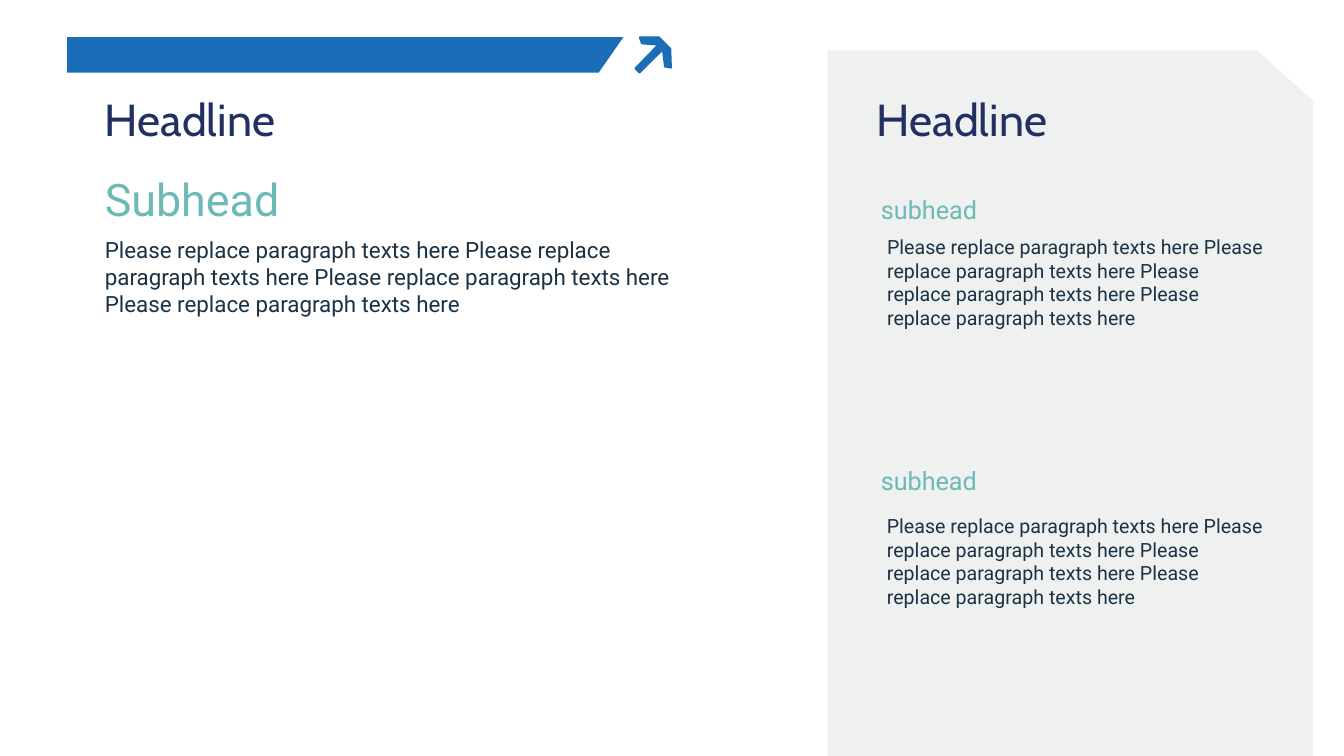
from pptx import Presentation
from pptx.dml.color import RGBColor
from pptx.enum.text import MSO_ANCHOR, MSO_AUTO_SIZE, PP_ALIGN
from pptx.oxml.ns import qn
from pptx.util import Pt
from lxml import etree

TOP = MSO_ANCHOR.TOP
GROW = MSO_AUTO_SIZE.SHAPE_TO_FIT_TEXT
LEFT = PP_ALIGN.LEFT

NAVY = RGBColor(0x22, 0x2F, 0x61)
TEAL = RGBColor(0x6C, 0xB9, 0xB6)
INK = RGBColor(0x1B, 0x32, 0x45)
BLUE = RGBColor(0x1A, 0x6D, 0xB6)
GREY = RGBColor(0xEF, 0xF0, 0xF0)

HEAD = "Cabin"
BODY = "Roboto"
COPY = " ".join(["Please replace paragraph texts here"] * 4)

PANEL = [(591.1, 36), (897.8, 36), (938, 72), (938, 540), (591.1, 540)]
BAR = [(48, 26.6), (445.3, 26.6), (427.7, 51.8), (48, 51.8)]
ARROW = [
    (470.9, 25.9), (479.5, 34.6), (480, 48.5), (479.5, 49),
    (474.7, 48.2), (474.3, 47.5), (473, 36.7), (457.2, 52.4),
    (456.5, 52.4), (453.4, 49.3), (453.4, 48.4), (468.9, 32.5),
    (458.5, 31.7), (457.8, 31), (456.3, 26.6), (457, 25.9),
]


class Page:
    def __init__(self, deck):
        self.slide = deck.slides.add_slide(deck.slide_layouts[4])
        self.shapes = self.slide.shapes
        self.slots = {s.placeholder_format.idx: s
                      for s in self.slide.placeholders}

    def form(self, points, color):
        dots = [(Pt(x), Pt(y)) for x, y in points]
        pen = self.shapes.build_freeform(*dots[0])
        pen.add_line_segments(dots[1:], close=True)
        shape = pen.convert_to_shape()
        shape.shadow.inherit = False
        shape.fill.solid()
        shape.fill.fore_color.rgb = color
        shape.line.fill.background()

    def text(self, words, place, size, color, font=BODY, slot=None,
             indent=0, right=7.2):
        left, top, width, height = map(Pt, place)
        if slot is None:
            box = self.shapes.add_textbox(left, top, width, height)
        else:
            box = self.slots[slot]
            box.left, box.top, box.width, box.height = left, top, width, height
            self.shapes._spTree.append(box._element)
        frame = box.text_frame
        frame.text = words
        frame.word_wrap = True
        frame.auto_size = GROW
        frame.vertical_anchor = TOP
        frame.margin_left, frame.margin_right = Pt(7.2), Pt(right)
        frame.margin_top = frame.margin_bottom = Pt(3.6)
        line = frame.paragraphs[0]
        props = line._p.get_or_add_pPr()
        props.set("marL", str(Pt(indent)))
        props.set("indent", "0")
        etree.SubElement(props, qn("a:buNone"))
        line.alignment = LEFT
        line.space_before = Pt(0)
        face = line.runs[0].font
        face.name, face.size, face.bold = font, Pt(size), False
        face.color.rgb = color


def main():
    deck = Presentation()
    deck.slide_width, deck.slide_height = Pt(960), Pt(540)
    page = Page(deck)

    page.form(PANEL, GREY)
    page.text("Headline", (67.7, 61.9, 224.6, 46), 32, NAVY, HEAD, slot=0)
    page.text("Subhead", (67.7, 118.8, 329.8, 46), 32, TEAL, slot=1)
    page.text(COPY, (67.7, 164.9, 444.2, 65.5), 16, INK, slot=2, right=11.5)

    page.text("Headline", (619.2, 61.9, 224.6, 46), 32, NAVY, HEAD)
    for head, body, slots in ((135.4, 164.2, (3, 4)),
                              (329, 363.6, (None, None))):
        page.text("subhead", (622.1, head, 480.2, 28.8), 18, TEAL,
                  slot=slots[0])
        page.text(COPY, (622.1, body, 290.2, 74.9), 14, INK,
                  slot=slots[1], indent=4.3)

    page.form(BAR, BLUE)
    page.form(ARROW, BLUE)
    deck.save("out.pptx")


if __name__ == "__main__":
    main()
